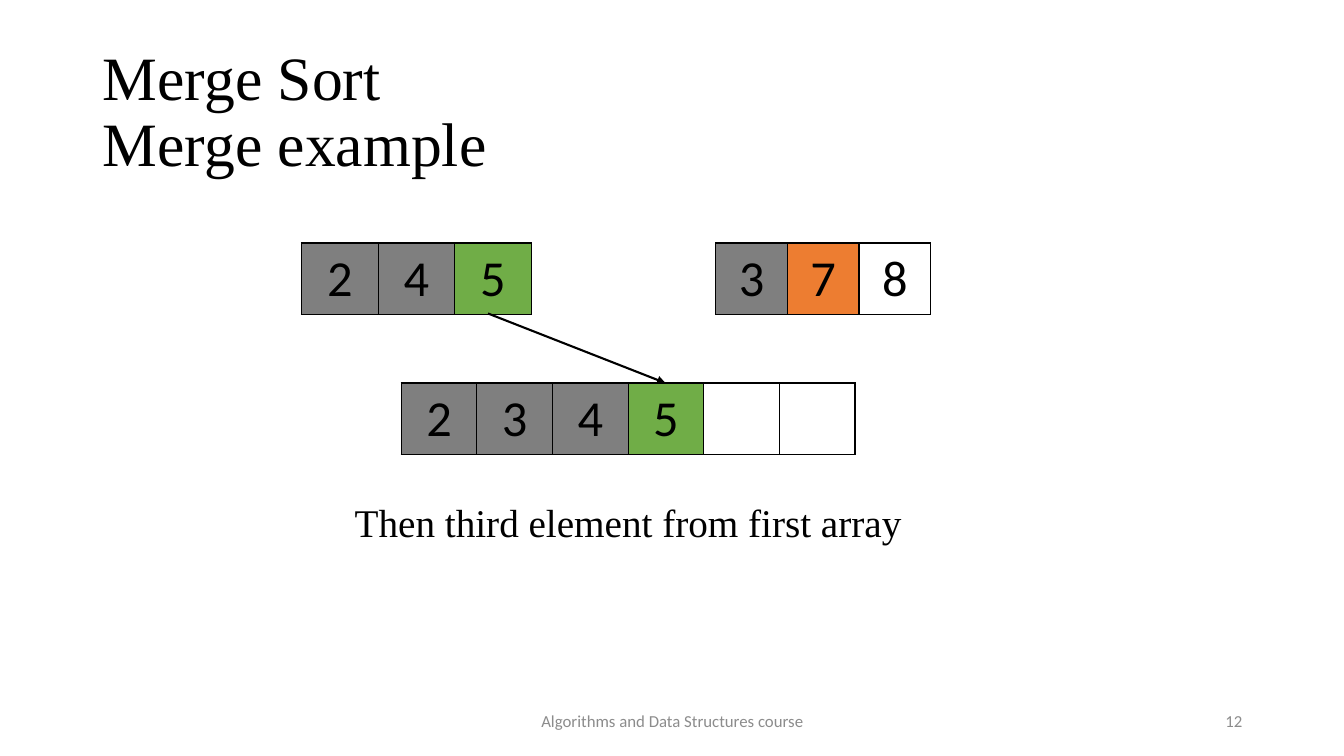
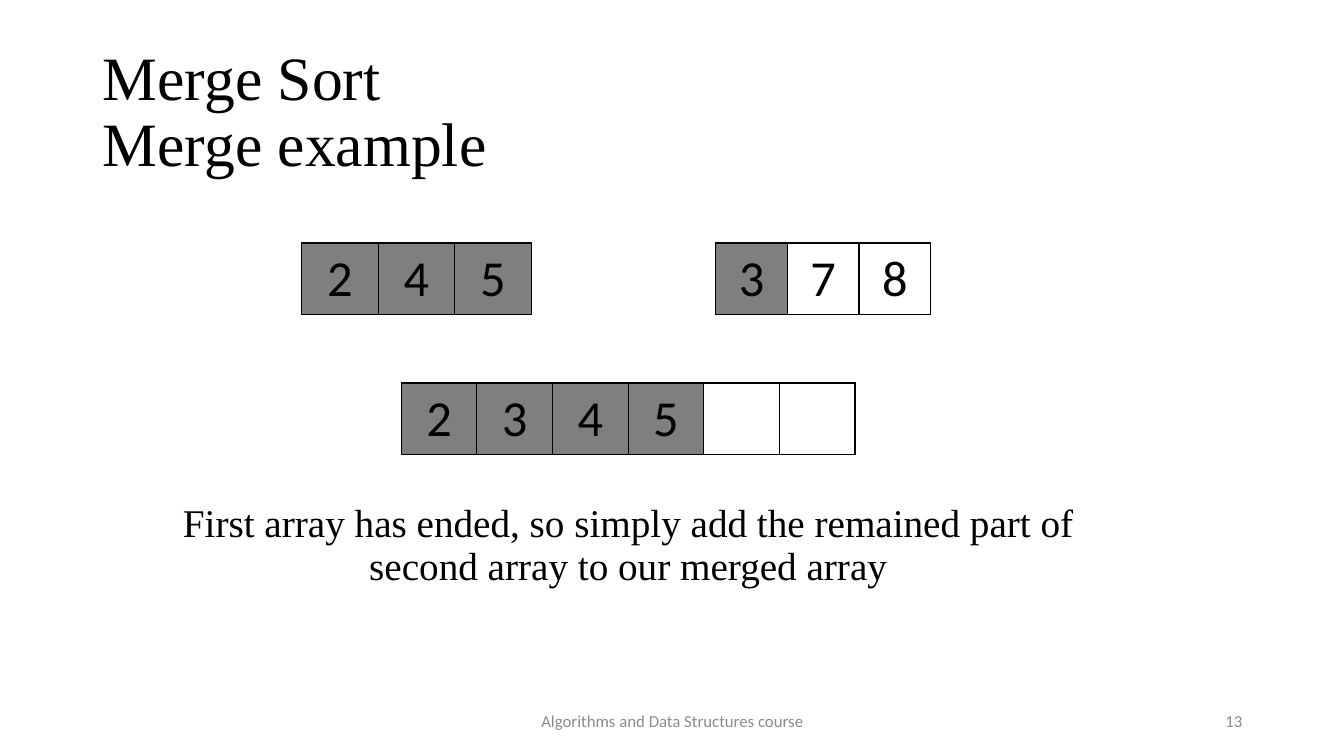
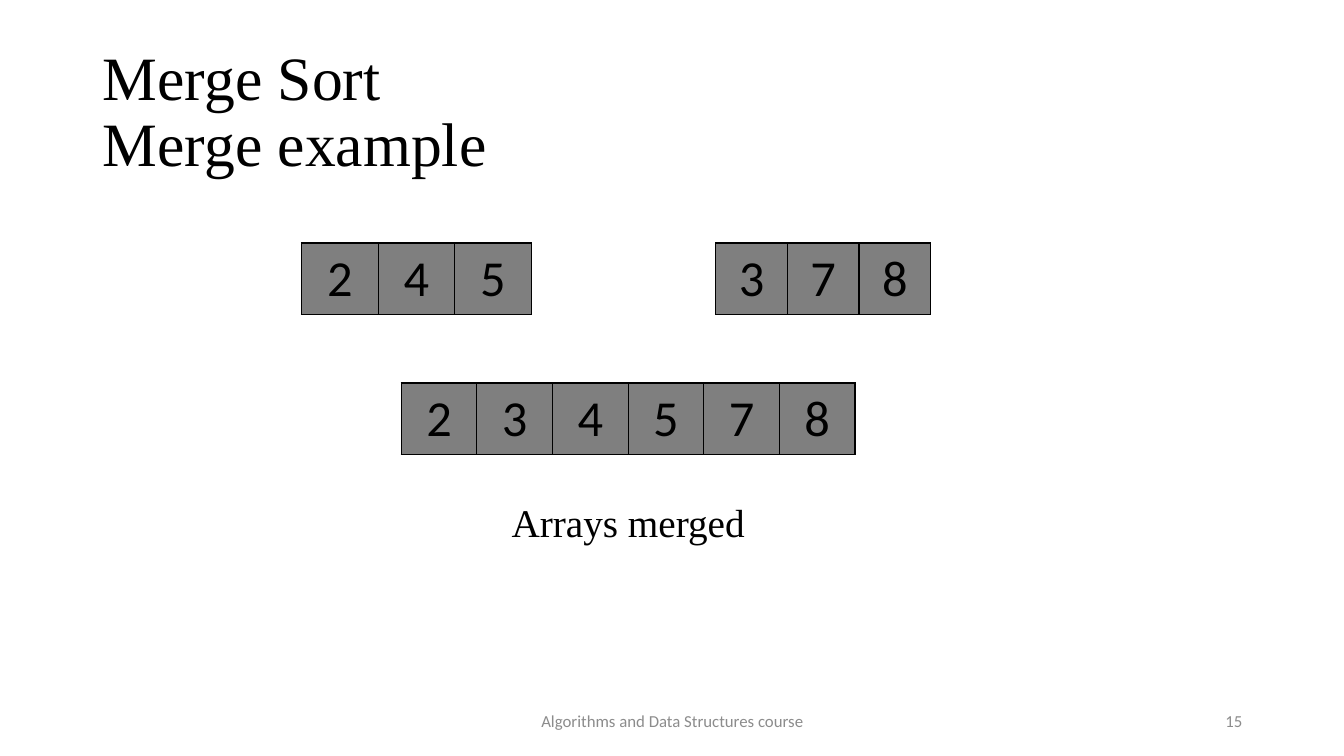
from pptx import Presentation
from pptx import util as u
from pptx.dml.color import RGBColor
from pptx.enum import shapes, text
from pptx.oxml import parse_xml
from pptx.oxml.ns import nsdecls

# Shared look
BLACK = RGBColor(0x00, 0x00, 0x00)
WHITE = RGBColor(0xFF, 0xFF, 0xFF)
GRAY = RGBColor(0x7F, 0x7F, 0x7F)
GREEN = RGBColor(0x70, 0xAD, 0x47)
ORANGE = RGBColor(0xED, 0x7D, 0x31)
FOOT = RGBColor(0x8C, 0x8C, 0x8C)
SERIF, SANS = "Times New Roman", "Calibri"
LEFT, MID, RIGHT = text.PP_ALIGN.LEFT, text.PP_ALIGN.CENTER, text.PP_ALIGN.RIGHT

# Cell states: used, taken now, compared, open
FILLS = {"u": GRAY, "t": GREEN, "c": ORANGE, "o": WHITE}
HIGH = 0.7

# Left, top and cell width of each array
FIRST = (2.99, 2.41, 0.76)
SECOND = (7.1, 2.41, 0.71)
MERGED = (3.98, 3.8, 0.75)

# Number, caption, (digits, states) for each array, arrow ends
STEPS = [
    (12, "Then third element from first array",
     [("245", "uut"), ("378", "uco"), ("2345", "uuutoo")],
     ((4.84, 3.11), (6.6, 3.8))),
    (13, "First array has ended, so simply add the remained part of "
         "second array to our merged array",
     [("245", "uuu"), ("378", "uoo"), ("2345", "uuuuoo")], None),
    (15, "Arrays merged",
     [("245", "uuu"), ("378", "uuu"), ("234578", "uuuuuu")], None),
]


def style(par, size, face, color, align):
    par.alignment = align
    par.font.size = u.Pt(size)
    par.font.name = face
    par.font.color.rgb = color


def write(box, spot, words, size, face, color, align, anchor, gap=None):
    """Place a text shape and format all its paragraphs."""
    box.left, box.top, box.width, box.height = map(u.Inches, spot)
    frame = box.text_frame
    frame.text = words
    frame.word_wrap = True
    frame.auto_size = text.MSO_AUTO_SIZE.NONE
    frame.vertical_anchor = anchor
    for par in frame.paragraphs:
        style(par, size, face, color, align)
        par.space_before = u.Pt(0)
        par.line_spacing = gap


def label(slide, spot, words, align):
    box = slide.shapes.add_textbox(0, 0, 0, 0)
    write(box, spot, words, 12, SANS, FOOT, align, text.MSO_ANCHOR.MIDDLE)


def border(cell):
    props = cell._tc.get_or_add_tcPr()
    for i, side in enumerate("LRTB"):
        props.insert(i, parse_xml(
            f'<a:ln{side} {nsdecls("a")} w="12700"><a:solidFill>'
            f'<a:srgbClr val="{BLACK}"/></a:solidFill></a:ln{side}>'))


def array(slide, place, digits, states):
    """Draw an array as a one-row table."""
    left, top, wide = place
    count = len(states)
    table = slide.shapes.add_table(
        1, count, u.Inches(left), u.Inches(top),
        u.Inches(wide * count), u.Inches(HIGH)).table
    table.first_row = table.horz_banding = False
    for col in table.columns:
        col.width = u.Inches(wide)
    for cell, digit, state in zip(table.iter_cells(), digits.ljust(count), states):
        cell.text = digit.strip()
        style(cell.text_frame.paragraphs[0], 36, SANS, BLACK, MID)
        cell.fill.solid()
        cell.fill.fore_color.rgb = FILLS[state]
        border(cell)


def arrow(slide, start, end):
    line = slide.shapes.add_connector(
        shapes.MSO_CONNECTOR.STRAIGHT, *map(u.Inches, start + end))
    line.line.color.rgb = BLACK
    line.line.width = u.Pt(1.5)
    line.line._get_or_add_ln().append(
        parse_xml(f'<a:tailEnd {nsdecls("a")} type="triangle"/>'))
    line._element.spPr.append(parse_xml(f'<a:effectLst {nsdecls("a")}/>'))


def step(deck, number, caption, rows, ends):
    slide = deck.slides.add_slide(deck.slide_layouts[0])
    # Title and caption
    write(slide.shapes.title, (0.92, 0.4, 11.5, 1.45), "Merge Sort\nMerge example",
          44, SERIF, BLACK, LEFT, text.MSO_ANCHOR.MIDDLE, 0.9)
    write(slide.placeholders[1], (1.57, 4.95, 9.32, 1.85), caption,
          28, SERIF, BLACK, MID, text.MSO_ANCHOR.TOP, 0.9)
    # Arrays
    for place, (digits, states) in zip((FIRST, SECOND, MERGED), rows):
        array(slide, place, digits, states)
    if ends:
        arrow(slide, *ends)
    # Footer
    label(slide, (4.42, 6.95, 4.5, 0.4), "Algorithms and Data Structures course", MID)
    label(slide, (9.42, 6.95, 3, 0.4), str(number), RIGHT)


def main():
    deck = Presentation()
    deck.slide_width, deck.slide_height = u.Inches(13.33), u.Inches(7.5)
    for item in STEPS:
        step(deck, *item)
    deck.save("out.pptx")


if __name__ == "__main__":
    main()
